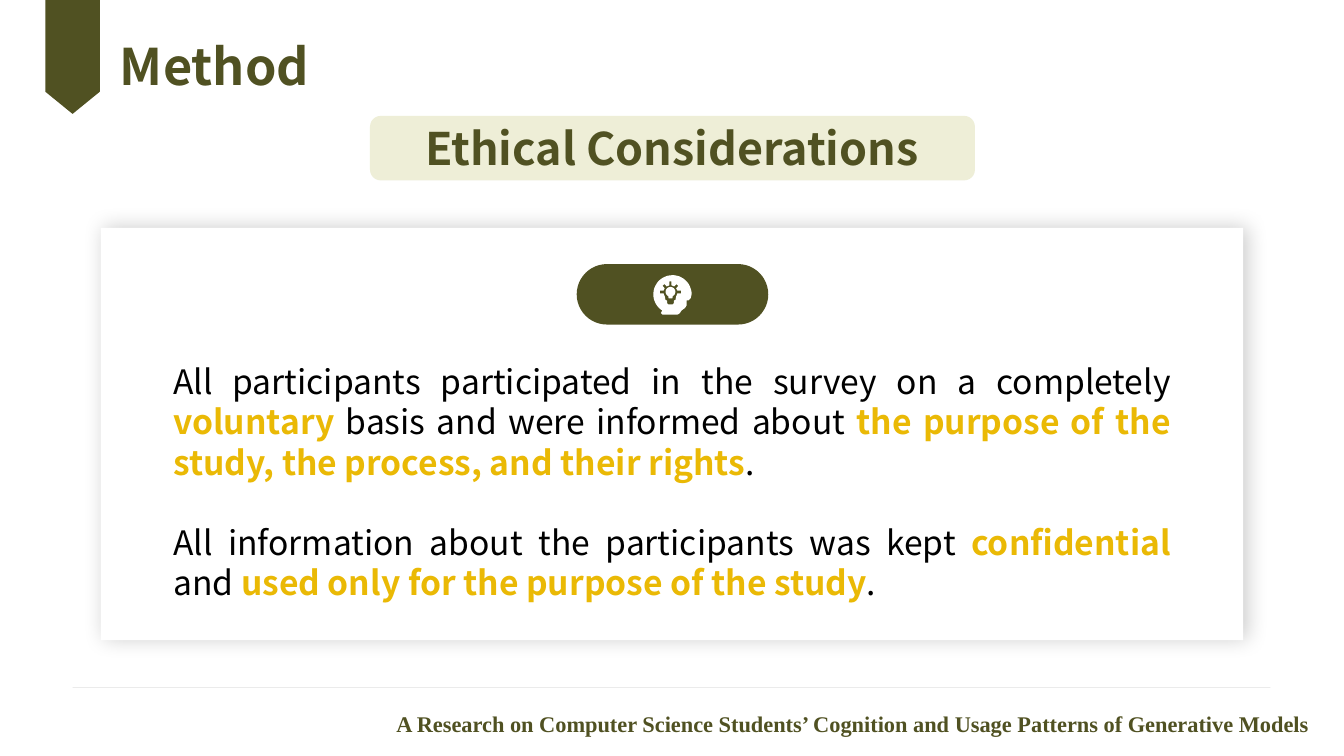
from math import cos, radians, sin
from typing import NamedTuple

from lxml.etree import SubElement
from pptx import Presentation
from pptx.dml.color import RGBColor as Rgb
from pptx.enum.shapes import MSO_CONNECTOR as Link, MSO_SHAPE as Kind
from pptx.enum.text import MSO_ANCHOR as Anchor, MSO_AUTO_SIZE as Auto, PP_ALIGN as Align
from pptx.oxml.ns import qn
from pptx.util import Emu, Pt

PX = 9144  # EMU per px, 100 px to the inch
FINE = PX / 10  # icon unit
SANS, SERIF = "Noto Sans CJK SC", "Times New Roman"
HUES = {"olive": "505122", "cream": "E7E8C7", "gold": "EAB905",
        "black": "000000", "white": "FFFFFF", "gray": "BFBFBF"}


class Box(NamedTuple):
    x: int
    y: int
    w: int
    h: int

    def emu(self) -> list[Emu]:
        return [Emu(n * PX) for n in self]


class Run(NamedTuple):
    text: str
    hue: str = "black"
    bold: bool = False


class Label(NamedTuple):
    box: Box
    paras: list[list[Run]]
    size: int
    font: str
    align: Align
    gap: float = 0


def put(obj, **vals) -> None:
    for key, val in vals.items():
        setattr(obj, key, val)


def fade(fill, pct: int) -> None:
    hue = next(fill.iter(qn("a:srgbClr")))
    SubElement(hue, qn("a:alpha")).set("val", str(pct * 1000))


def paint(shape, hue: str) -> None:
    shape.shadow.inherit = False
    shape.fill.solid()
    shape.fill.fore_color.rgb = Rgb.from_string(HUES[hue])
    shape.line.fill.background()


def block(shapes, kind: Kind, box: Box, hue: str):
    shape = shapes.add_shape(kind, *box.emu())
    paint(shape, hue)
    return shape


def trace(shapes, loops: list[list[tuple]], scale: float, hue: str) -> None:
    pen = shapes.build_freeform(*loops[0][0], scale=scale)
    for i, loop in enumerate(loops):
        if i:
            pen.move_to(*loop[0])
        pen.add_line_segments(loop[1:], close=True)
    paint(pen.convert_to_shape(), hue)


def arc(x: int, y: int, r: int, start: int, stop: int) -> list[tuple]:
    return [(round(x + r * cos(radians(a))), round(y + r * sin(radians(a))))
            for a in range(start, stop + 1, 7)]


def write(para, runs: list[Run], size: int, font: str) -> None:
    for part in runs:
        run = para.add_run()
        run.text = part.text
        put(run.font, name=font, size=Pt(size), bold=part.bold)
        run.font.color.rgb = Rgb.from_string(HUES[part.hue])


def label(shapes, item: Label) -> None:
    frame = shapes.add_textbox(*item.box.emu()).text_frame
    put(frame, word_wrap=True, auto_size=Auto.SHAPE_TO_FIT_TEXT)
    for i, runs in enumerate(item.paras):
        para = frame.add_paragraph() if i else frame.paragraphs[0]
        put(para, alignment=item.align, space_before=Pt(item.gap if i else 0))
        write(para, runs, item.size, item.font)


LABELS = [
    Label(Box(0, 115, 1333, 64), [[Run("Ethical Considerations", "olive", True)]],
          32, SANS, Align.CENTER),
    Label(Box(324, 700, 984, 37),
          [[Run("A Research on Computer Science Students’ Cognition and Usage "
                "Patterns of Generative Models", "olive", True)]],
          16, SERIF, Align.RIGHT),
    Label(Box(162, 353, 1009, 252), [
        [Run("All participants participated in the survey on a completely "),
         Run("voluntary", "gold", True),
         Run(" basis and were informed about "),
         Run("the purpose of the study, the process, and their rights", "gold", True),
         Run(".")],
        [Run("All information about the participants was kept "),
         Run("confidential", "gold", True),
         Run(" and "),
         Run("used only for the purpose of the study", "gold", True),
         Run(".")],
    ], 24, SANS, Align.JUSTIFY, 28.8),
]

# Icon outlines: head, and the right half of the glowing bulb
MID = 6650
HEAD = arc(6670, 2920, 190, 122, 360) + [
    (6850, 2960), (6830, 2980), (6810, 2980), (6810, 3030), (6795, 3055),
    (6760, 3080), (6740, 3110), (6720, 3120), (6570, 3120), (6555, 3105)]
HALF = [(10, 2792), (10, 2830), (38, 2842), (60, 2818), (78, 2836), (57, 2860),
        (69, 2883), (105, 2883), (105, 2910), (69, 2910), (55, 2945), (50, 2975),
        (33, 2983), (33, 3008), (22, 3020)]
GLOW = [(MID + x, y) for x, y in HALF] + [(MID - x, y) for x, y in reversed(HALF)]
BULB = arc(MID, 2895, 48, 114, 426) + [(MID + 19, 2960), (MID - 19, 2960)]


def main() -> None:
    deck = Presentation()
    put(deck, slide_width=Emu(1333 * PX), slide_height=Emu(750 * PX))
    slide = deck.slides.add_slide(deck.slide_layouts[5])
    shapes = slide.shapes

    # Footer rule and ribbon
    rule = shapes.add_connector(Link.STRAIGHT, *Box(72, 682, 1260, 682).emu())
    rule.line.width = Pt(0.25)
    rule.line.color.rgb = Rgb.from_string(HUES["gray"])
    fade(rule.line._ln, 47)
    SubElement(rule._element.spPr, qn("a:effectLst"))
    trace(shapes, [[(45, -11), (99, -11), (99, 91), (72, 113), (45, 91)]], PX, "olive")

    # Title
    title = shapes.title
    left, top, width, height = Box(119, 26, 893, 86).emu()
    put(title, left=left, top=top, width=width, height=height)
    put(title.text_frame, vertical_anchor=Anchor.MIDDLE, word_wrap=True,
        auto_size=Auto.NONE, margin_left=0, margin_right=0, margin_top=0, margin_bottom=0)
    para = title.text_frame.paragraphs[0]
    put(para, alignment=Align.LEFT, line_spacing=0.9)
    write(para, [Run("Method", "olive", True)], 36, SANS)

    # Heading band and card
    band = block(shapes, Kind.ROUNDED_RECTANGLE, Box(367, 115, 600, 64), "cream")
    fade(band._element.spPr, 70)
    card = block(shapes, Kind.RECTANGLE, Box(100, 226, 1133, 409), "white")
    glow = SubElement(card._element.spPr.find(qn("a:effectLst")), qn("a:outerShdw"))
    for key, val in {"blurRad": Pt(15), "dist": Pt(3), "dir": 0, "rotWithShape": 0}.items():
        glow.set(key, str(int(val)))
    SubElement(glow, qn("a:srgbClr")).set("val", HUES["black"])
    fade(glow, 20)

    # Badge with icon
    badge = shapes.add_group_shape().shapes
    pill = block(badge, Kind.ROUNDED_RECTANGLE, Box(572, 262, 190, 60), "olive")
    pill.adjustments[0] = 0.5
    trace(badge, [HEAD, GLOW, BULB], FINE, "white")

    # Texts
    for item in LABELS:
        label(shapes, item)

    deck.save("out.pptx")


if __name__ == "__main__":
    main()
